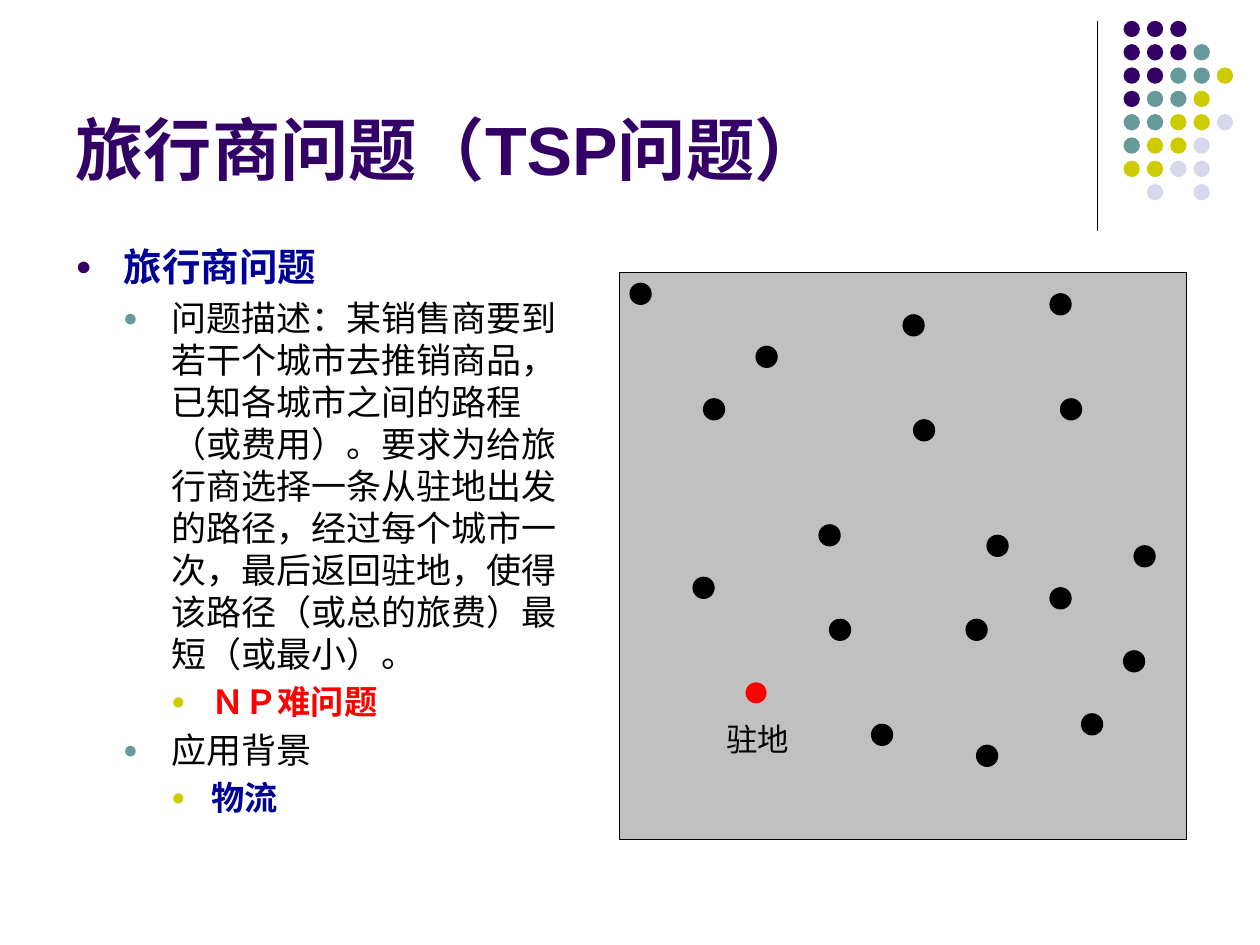
from lxml import etree
from pptx import Presentation
from pptx.dml.color import RGBColor
from pptx.enum.shapes import MSO_CONNECTOR as Conn, MSO_SHAPE as Shape
from pptx.enum.text import MSO_ANCHOR as Anchor, MSO_AUTO_SIZE as AutoSize, PP_ALIGN as Align
from pptx.oxml.ns import qn
from pptx.util import Cm, Pt

COLORS = {
    "purple": "330066", "teal": "669999", "olive": "CCCC00", "lilac": "D8D8EC",
    "navy": "000099", "red": "FF0000", "black": "000000", "gray": "C0C0C0",
}
FONT = "Arial"
TITLE = "旅行商问题（TSP问题）"
BODY = [
    (0, "旅行商问题", "navy", True),
    (1, "问题描述：某销售商要到若干个城市去推销商品，已知各城市之间的路程（或费用）。"
        "要求为给旅行商选择一条从驻地出发的路径，经过每个城市一次，最后返回驻地，"
        "使得该路径（或总的旅费）最短（或最小）。", "black", False),
    (2, "ＮＰ难问题", "red", True),
    (1, "应用背景", "black", False),
    (2, "物流", "navy", True),
]
LEVELS = [(22, 0.97, 0.97, "purple"), (20, 1.93, 0.97, "teal"), (19, 2.74, 0.81, "olive")]
DOT_ROWS = ["PPP", "PPPT", "PPTTO", "PTTO", "TTOOL", "TOOL", "OOLL", " L L"]
DOT_COLORS = {"P": "purple", "T": "teal", "O": "olive", "L": "lilac"}
CITIES = [
    (13, 7), (27, 4), (19, 24), (28, 14), (20, 33), (7, 29), (24, 43), (33, 33),
    (35, 25), (42, 12), (44, 42), (34, 45), (49, 26), (1, 1), (8, 12), (41, 2),
    (48, 36), (41, 30),
]
DEPOT, DEPOT_LABEL = (12, 39), (9, 42)
MAP_LEFT, MAP_TOP, MAP_SIZE = 12.49, 5.5, 11.43
CELL = MAP_SIZE / 54


def rgb(name):
    return RGBColor.from_string(COLORS[name])


def style(p, size, color, bold=False):
    for r in p.runs:
        r.font.name, r.font.size, r.font.bold = FONT, Pt(size), bold
        r.font.color.rgb = rgb(color)


def add_figure(s, kind, left, top, size, fill, line=None):
    sp = s.shapes.add_shape(kind, Cm(left), Cm(top), Cm(size), Cm(size))
    sp.shadow.inherit = False
    sp.fill.solid()
    sp.fill.fore_color.rgb = rgb(fill)
    if line:
        sp.line.color.rgb = rgb(line)
        sp.line.width = Pt(0.75)
    else:
        sp.line.fill.background()


def on_map(cell):
    return MAP_LEFT + cell[0] * CELL, MAP_TOP + cell[1] * CELL


def place(sp, left, top, width, height):
    sp.left, sp.top, sp.width, sp.height = Cm(left), Cm(top), Cm(width), Cm(height)


def add_bullet(p, indent, hanging, color):
    pPr = p._p.get_or_add_pPr()
    pPr.set("marL", str(Cm(indent)))
    pPr.set("indent", str(-Cm(hanging)))
    clr = etree.SubElement(pPr, qn("a:buClr"))
    etree.SubElement(clr, qn("a:srgbClr"), val=COLORS[color])
    etree.SubElement(pPr, qn("a:buSzPct"), val="70000")
    etree.SubElement(pPr, qn("a:buFont"), typeface=FONT)
    etree.SubElement(pPr, qn("a:buChar"), char="●")


def add_decoration(s):
    rule = s.shapes.add_connector(Conn.STRAIGHT, Cm(22.12), Cm(0.42), Cm(22.12), Cm(4.65))
    rule.line.color.rgb = rgb("black")
    rule.line.width = Pt(0.75)
    etree.SubElement(rule._element.spPr, qn("a:effectLst"))
    for row, codes in enumerate(DOT_ROWS):
        for col, code in enumerate(codes):
            if code in DOT_COLORS:
                add_figure(s, Shape.OVAL, 22.65 + col * 0.47, 0.42 + row * 0.47, 0.33,
                           DOT_COLORS[code])


def add_text(s):
    title, body = s.shapes.title, s.placeholders[1]
    place(title, 1.27, 0.33, 20.96, 3.61)
    place(body, 1.27, 4.78, 10.36, 12.24)
    for sp in (title, body):
        sp.text_frame.word_wrap = True
        sp.text_frame.auto_size = AutoSize.NONE
    tf = title.text_frame
    tf.text = TITLE
    tf.vertical_anchor = Anchor.BOTTOM
    tf.paragraphs[0].alignment = Align.LEFT
    style(tf.paragraphs[0], 39, "purple", True)

    tf = body.text_frame
    tf.text = "\n".join(text for _, text, _, _ in BODY)
    for i, (p, (level, _, color, bold)) in enumerate(zip(tf.paragraphs, BODY)):
        size, indent, hanging, bullet = LEVELS[level]
        p.level = level
        p.space_before = Pt(4 if i else 0)
        add_bullet(p, indent, hanging, bullet)
        style(p, size, color, bold)


def add_map(s):
    add_figure(s, Shape.RECTANGLE, MAP_LEFT, MAP_TOP, MAP_SIZE, "gray", "black")
    for city in CITIES:
        add_figure(s, Shape.OVAL, *on_map(city), 2 * CELL, "black", "black")
    add_figure(s, Shape.OVAL, *on_map(DEPOT), 2 * CELL, "red")
    left, top = on_map(DEPOT_LABEL)
    tf = s.shapes.add_textbox(Cm(left), Cm(top), Cm(1.9), Cm(1.02)).text_frame
    tf.word_wrap = True
    tf.text = "驻地"
    style(tf.paragraphs[0], 18, "black")


def main():
    """Build the travelling salesman slide."""
    prs = Presentation()
    prs.slide_width, prs.slide_height = Cm(25.4), Cm(19.05)
    s = prs.slides.add_slide(prs.slide_layouts[1])
    add_decoration(s)
    add_text(s)
    add_map(s)
    prs.save("out.pptx")


if __name__ == "__main__":
    main()
